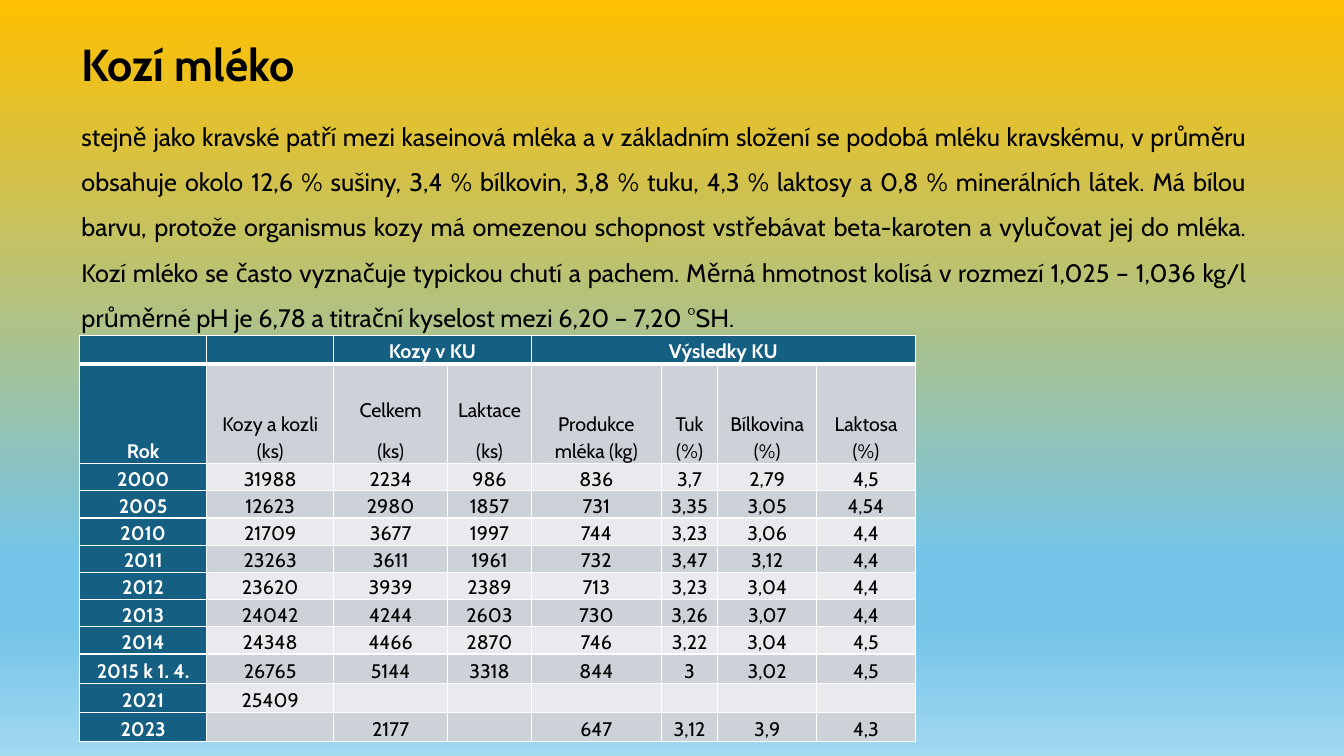
from dataclasses import dataclass

from lxml import etree
from pptx import Presentation
from pptx.dml.color import RGBColor
from pptx.enum.text import MSO_ANCHOR, MSO_AUTO_SIZE, PP_ALIGN
from pptx.oxml.ns import qn
from pptx.util import Inches, Pt

CENTER = PP_ALIGN.CENTER
JUSTIFY = PP_ALIGN.JUSTIFY
TOP = MSO_ANCHOR.TOP
BOTTOM = MSO_ANCHOR.BOTTOM
NO_AUTOFIT = MSO_AUTO_SIZE.NONE
TITLE_ONLY = 5


@dataclass(frozen=True)
class Theme:
    font: str = "Cabin"
    black: str = "000000"
    white: str = "FFFFFF"
    header: str = "156082"
    dark_band: str = "CCD2D8"
    light_band: str = "E8EAED"
    gradient: tuple = ((0, "FFC000"), (74, "74C4E9"), (83, "74C4E9"), (100, "A2D8F0"))
    title_size: int = 32
    body_size: int = 18
    table_size: int = 14
    border: int = 1
    heavy_border: int = 3


THEME = Theme()

TITLE = "Kozí mléko"
BODY = (
    "stejně jako kravské patří mezi kaseinová mléka a v základním složení se podobá "
    "mléku kravskému, v průměru obsahuje okolo 12,6 % sušiny, 3,4 % bílkovin, 3,8 % tuku, "
    "4,3 % laktosy a 0,8 % minerálních látek. Má bílou barvu, protože organismus kozy má "
    "omezenou schopnost vstřebávat beta-karoten a vylučovat jej do mléka. Kozí mléko se "
    "často vyznačuje typickou chutí a pachem. Měrná hmotnost kolísá v rozmezí "
    "1,025 – 1,036 kg/l průměrné pH je 6,78 a titrační kyselost mezi 6,20 – 7,20 °SH."
)

COLUMN_WIDTHS = (1.26, 1.26, 1.13, 0.83, 1.29, 0.56, 0.98, 0.98)
ROW_HEIGHTS = (0.28, 0.99) + (0.27,) * 7 + (0.29,) * 3
HEADER_SPANS = ((2, 3), (4, 7))
MILK_ROWS = (
    ("", "", "Kozy v KU", "", "Výsledky KU", "", "", ""),
    ("Rok", "Kozy a kozli (ks)", "Celkem\n(ks)", "Laktace\n(ks)",
     "Produkce mléka (kg)", "Tuk (%)", "Bílkovina (%)", "Laktosa (%)"),
    ("2000", "31988", "2234", "986", "836", "3,7", "2,79", "4,5"),
    ("2005", "12623", "2980", "1857", "731", "3,35", "3,05", "4,54"),
    ("2010", "21709", "3677", "1997", "744", "3,23", "3,06", "4,4"),
    ("2011", "23263", "3611", "1961", "732", "3,47", "3,12", "4,4"),
    ("2012", "23620", "3939", "2389", "713", "3,23", "3,04", "4,4"),
    ("2013", "24042", "4244", "2603", "730", "3,26", "3,07", "4,4"),
    ("2014", "24348", "4466", "2870", "746", "3,22", "3,04", "4,5"),
    ("2015 k 1. 4.", "26765", "5144", "3318", "844", "3", "3,02", "4,5"),
    ("2021", "25409", "", "", "", "", "", ""),
    ("2023", "", "2177", "", "647", "3,12", "3,9", "4,3"),
)


def write_text(text_frame, text, *, size, color=THEME.black, bold=False,
               align=JUSTIFY, line_spacing=1.5, space_after=10):
    text_frame.text = text
    for paragraph in text_frame.paragraphs:
        paragraph.alignment = align
        paragraph.line_spacing = line_spacing
        paragraph.space_after = Pt(space_after)
        for run in paragraph.runs:
            run.font.name = THEME.font
            run.font.size = Pt(size)
            run.font.bold = bold
            run.font.color.rgb = RGBColor.from_string(color)
        if not paragraph.runs:
            end = etree.SubElement(paragraph._p, qn("a:endParaRPr"), sz=str(size * 100))
            etree.SubElement(end, qn("a:latin"), typeface=THEME.font)


def add_color(parent, color):
    etree.SubElement(parent, qn("a:srgbClr"), val=color)


def paint_background(slide):
    fill = slide.background.fill
    fill.gradient()
    fill.gradient_angle = 270
    stops = slide._element.find(".//" + qn("a:gsLst"))
    for stop in list(stops):
        stops.remove(stop)
    for position, color in THEME.gradient:
        add_color(etree.SubElement(stops, qn("a:gs"), pos=str(position * 1000)), color)


def place_title(slide):
    title = slide.shapes.title
    title.left, title.top = Inches(0.71), Inches(0.05)
    title.width, title.height = Inches(11.75), Inches(0.91)
    frame = title.text_frame
    frame.auto_size = NO_AUTOFIT
    frame.vertical_anchor = TOP
    frame.word_wrap = True
    write_text(frame, TITLE, size=THEME.title_size, bold=True, space_after=0)


def add_body(slide):
    box = slide.shapes.add_textbox(Inches(0.71), Inches(1), Inches(11.75), Inches(2.33))
    box.text_frame.word_wrap = True
    write_text(box.text_frame, BODY, size=THEME.body_size, space_after=0)


def set_borders(cell, row):
    properties = cell._tc.get_or_add_tcPr()
    heavy_edge = {0: "a:lnB", 1: "a:lnT"}.get(row)
    for edge in ("a:lnL", "a:lnR", "a:lnT", "a:lnB"):
        width = THEME.heavy_border if edge == heavy_edge else THEME.border
        line = etree.SubElement(properties, qn(edge), w=str(Pt(width)))
        add_color(etree.SubElement(line, qn("a:solidFill")), THEME.white)


def format_cell(cell, row, column, text):
    is_header = row == 0 or column == 0
    band = THEME.dark_band if row % 2 else THEME.light_band
    cell.margin_left = cell.margin_right = Inches(0.05)
    cell.margin_top = cell.margin_bottom = 0
    cell.vertical_anchor = BOTTOM
    set_borders(cell, row)
    cell.fill.solid()
    cell.fill.fore_color.rgb = RGBColor.from_string(THEME.header if is_header else band)
    write_text(cell.text_frame, text, size=THEME.table_size, bold=is_header,
               color=THEME.white if is_header else THEME.black,
               align=CENTER, line_spacing=1.15)


def add_milk_table(slide):
    frame = slide.shapes.add_table(
        len(MILK_ROWS), len(COLUMN_WIDTHS), Inches(0.79), Inches(3.33),
        Inches(sum(COLUMN_WIDTHS)), Inches(sum(ROW_HEIGHTS)))
    table = frame.table
    table.first_col = True
    for column, width in zip(table.columns, COLUMN_WIDTHS):
        column.width = Inches(width)
    for row, height in zip(table.rows, ROW_HEIGHTS):
        row.height = Inches(height)
    for row, texts in enumerate(MILK_ROWS):
        for column, text in enumerate(texts):
            format_cell(table.cell(row, column), row, column, text)
    for first, last in HEADER_SPANS:
        table.cell(0, first).merge(table.cell(0, last))


def main():
    presentation = Presentation()
    presentation.slide_width = Inches(13.33)
    presentation.slide_height = Inches(7.5)
    slide = presentation.slides.add_slide(presentation.slide_layouts[TITLE_ONLY])
    paint_background(slide)
    place_title(slide)
    add_body(slide)
    add_milk_table(slide)
    presentation.save("out.pptx")


if __name__ == "__main__":
    main()
